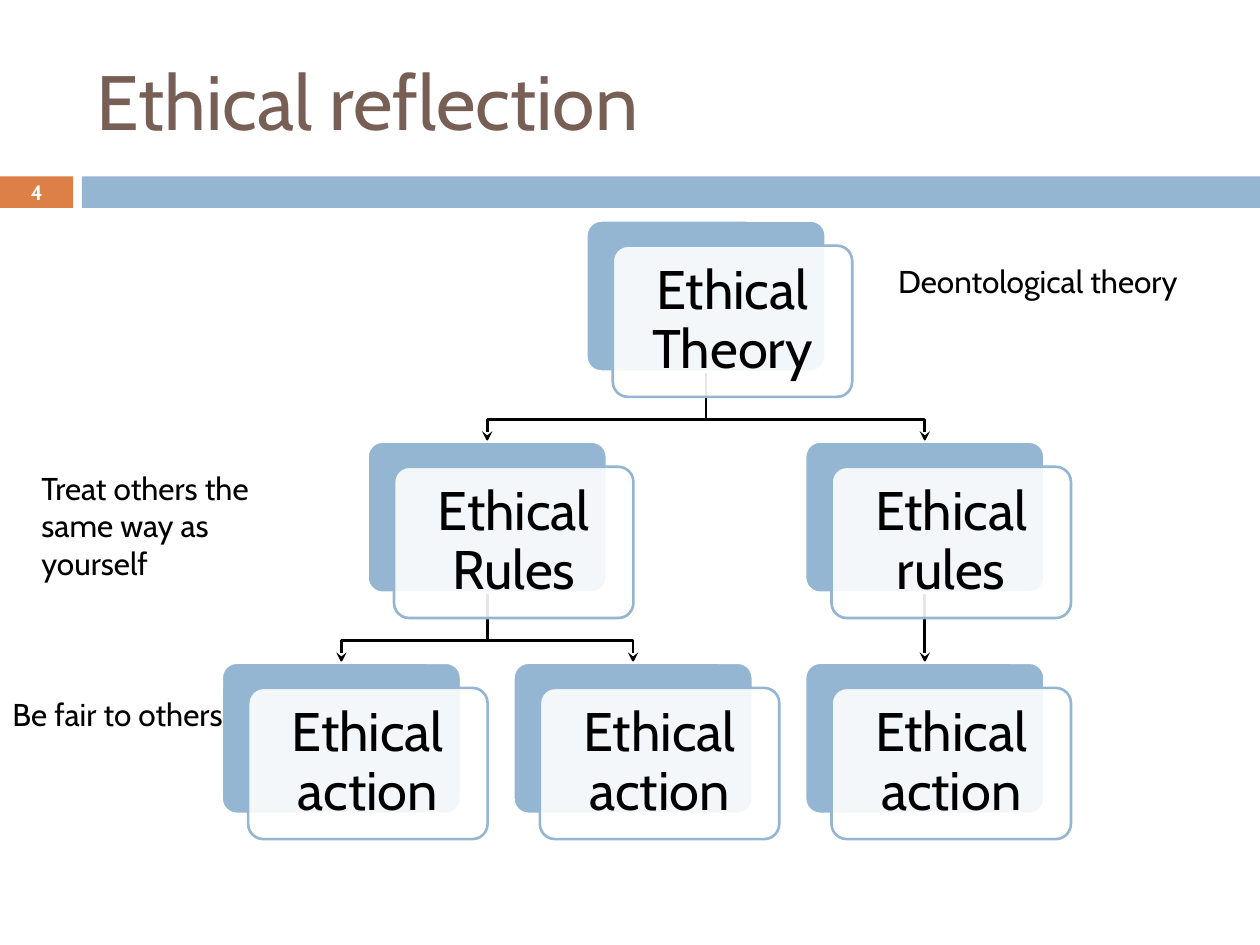
from lxml import etree
from pptx import Presentation
from pptx.dml.color import RGBColor
from pptx.enum.shapes import MSO_CONNECTOR, MSO_SHAPE
from pptx.enum.text import MSO_ANCHOR, PP_ALIGN
from pptx.oxml.ns import qn
from pptx.util import Inches, Pt

RECT, ROUNDED = MSO_SHAPE.RECTANGLE, MSO_SHAPE.ROUNDED_RECTANGLE
STRAIGHT = MSO_CONNECTOR.STRAIGHT
TOP, MIDDLE = MSO_ANCHOR.TOP, MSO_ANCHOR.MIDDLE
LEFT, CENTER = PP_ALIGN.LEFT, PP_ALIGN.CENTER

# Content
TITLE = "Ethical reflection"
PAGE = "4"
TREE = ("Ethical Theory", [
    ("Ethical Rules", [("Ethical action", []), ("Ethical action", [])]),
    ("Ethical rules", [("Ethical action", [])]),
])
NOTES = [  # text, left, top, width, height
    ("Deontological theory", 7.03, 2.03, 2.42, 0.4),
    ("Treat others the same way as yourself", 0.23, 3.67, 2.42, 0.71),
    ("Be fair to others", 0, 5.47, 1.87, 0.4),
]

# Style
FONT = "Cabin"
COLORS = {"title": "775F55", "blue": "94B6D2", "orange": "DD8047",
          "white": "FFFFFF", "black": "000000"}

# Tree geometry in inches
TREE_LEFT, TREE_TOP = 1.76, 1.75
COLUMN_STEP, LEVEL_STEP = 2.315, 1.755
CARD_W, CARD_H = 1.9, 1.2
OFFSET_X, OFFSET_Y = 0.21, 0.2
ELBOW_DROP = 0.38

prs = Presentation()
prs.slide_width, prs.slide_height = Inches(10), Inches(7.5)
slide = prs.slides.add_slide(prs.slide_layouts[6])
shapes = slide.shapes


def rgb(name):
    return RGBColor.from_string(COLORS[name])


def write(shape, text, size, color, align=LEFT, anchor=TOP, bold=False):
    frame = shape.text_frame
    frame.word_wrap = True
    frame.vertical_anchor = anchor
    frame.text = text
    paragraph = frame.paragraphs[0]
    paragraph.alignment = align
    font = paragraph.runs[0].font
    font.name, font.size, font.bold = FONT, Pt(size), bold
    font.color.rgb = rgb(color)
    return frame


def add_text(text, left, top, width, height, size, color, **options):
    box = shapes.add_textbox(*map(Inches, (left, top, width, height)))
    write(box, text, size, color, **options)


def add_block(kind, left, top, width, height, fill, line=None):
    block = shapes.add_shape(kind, *map(Inches, (left, top, width, height)))
    block.shadow.inherit = False
    block.fill.solid()
    block.fill.fore_color.rgb = rgb(fill)
    if line:
        block.line.color.rgb = rgb(line)
        block.line.width = Pt(1.5)
    else:
        block.line.fill.background()
    return block


def place(node, level=0, leaves_before=0):
    """Centre each parent over its children; return the placed node and leaf count."""
    text, children = node
    placed, leaves = [], 0
    for child in children:
        child_node, count = place(child, level + 1, leaves_before + leaves)
        placed.append(child_node)
        leaves += count
    if placed:
        left = (placed[0]["left"] + placed[-1]["left"]) / 2
    else:
        left = TREE_LEFT + COLUMN_STEP * leaves_before
    top = TREE_TOP + LEVEL_STEP * level
    return {"text": text, "left": left, "top": top, "children": placed}, max(leaves, 1)


def add_arrow(parent, child):
    x1, x2 = (node["left"] + CARD_W / 2 for node in (parent, child))
    y1, y2 = parent["top"] + CARD_H, child["top"]
    bend = y1 + ELBOW_DROP
    if abs(x1 - x2) < 0.01:
        arrow = shapes.add_connector(STRAIGHT, *map(Inches, (x1, y1, x2, y2)))
        etree.SubElement(arrow._element.spPr, qn("a:effectLst"))
    else:
        builder = shapes.build_freeform(Inches(x1), Inches(y1))
        corners = [(x1, bend), (x2, bend), (x2, y2)]
        builder.add_line_segments([(Inches(x), Inches(y)) for x, y in corners], close=False)
        arrow = builder.convert_to_shape()
        arrow.shadow.inherit = False
        arrow.fill.background()
    arrow.line.color.rgb = rgb("black")
    arrow.line.width = Pt(1.5)
    etree.SubElement(arrow.line._get_or_add_ln(), qn("a:tailEnd"), type="stealth")


def add_arrows(node):
    for child in node["children"]:
        add_arrow(node, child)
        add_arrows(child)


def add_cards(node):
    left, top = node["left"], node["top"]
    back = add_block(ROUNDED, left, top, CARD_W, CARD_H, "blue", "white")
    front = add_block(ROUNDED, left + OFFSET_X, top + OFFSET_Y, CARD_W, CARD_H, "white", "blue")
    for card in (back, front):
        card.adjustments[0] = 0.1
    fill_color = front._element.spPr.find(qn("a:solidFill"))[0]
    etree.SubElement(fill_color, qn("a:alpha"), val="90000")
    frame = write(front, node["text"], 31, "black", align=CENTER, anchor=MIDDLE)
    frame.margin_left = frame.margin_right = Inches(0.13)
    frame.margin_top = frame.margin_bottom = Inches(0.13)
    frame.paragraphs[0].line_spacing = 0.9
    for child in node["children"]:
        add_cards(child)


# Header band, title and page number
page_tab = add_block(RECT, 0, 1.4, 0.58, 0.25, "orange")
write(page_tab, PAGE, 11.9, "white", align=CENTER, anchor=MIDDLE, bold=True)
add_block(RECT, 0.65, 1.4, 9.35, 0.25, "blue")
add_text(TITLE, 0.67, 0.25, 8.92, 1.08, 44, "title", anchor=MIDDLE)

# Tree: arrows lie behind the cards
root, _ = place(TREE)
add_arrows(root)
add_cards(root)

# Side notes
for note, *box in NOTES:
    add_text(note, *box, 18, "black")

prs.save("out.pptx")
